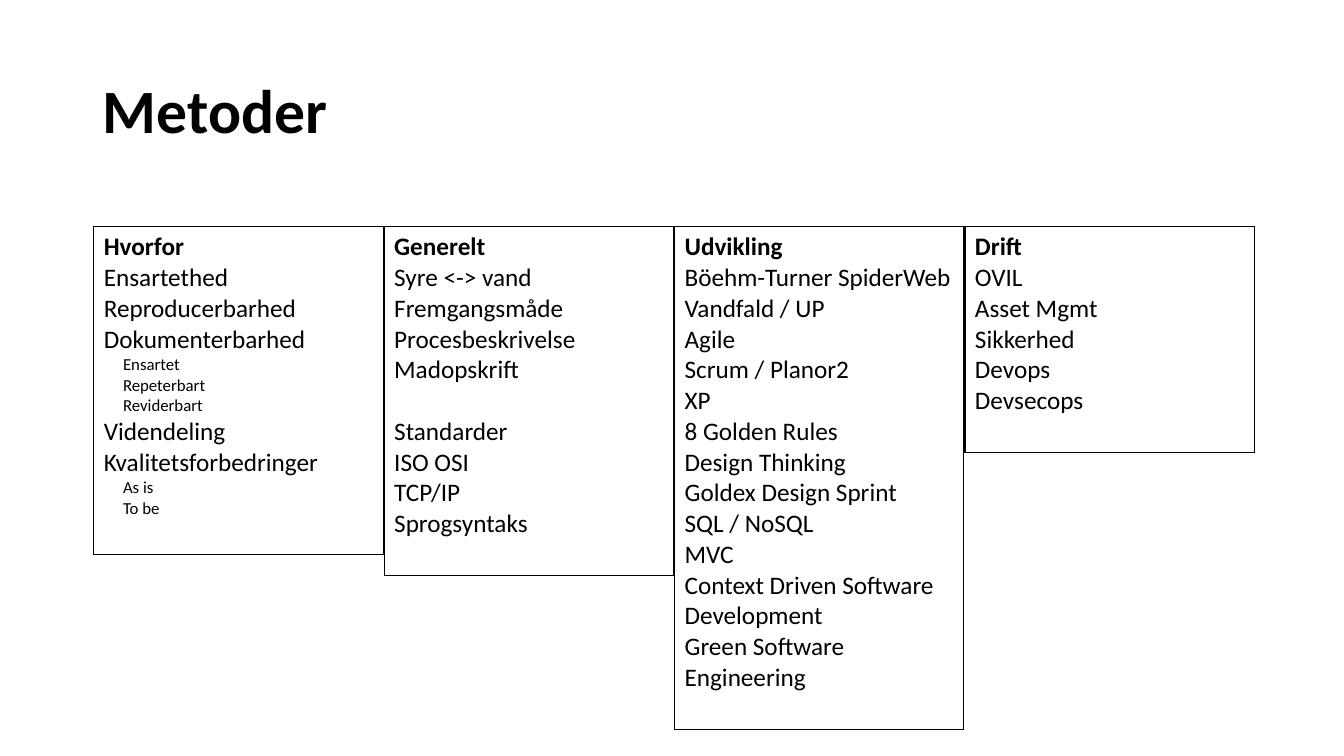
from dataclasses import dataclass

from lxml.etree import SubElement
from pptx import Presentation
from pptx.dml.color import RGBColor
from pptx.enum.text import MSO_ANCHOR as Anchor, MSO_AUTO_SIZE as AutoSize, PP_ALIGN as Align
from pptx.oxml.ns import qn
from pptx.util import Inches, Pt


@dataclass(frozen=True)
class Theme:
    font: str = "Calibri"
    ink: str = "000000"
    paper: str = "FFFFFF"
    title_size: int = 44
    item_size: int = 18
    detail_size: int = 12
    line_width: int = 1


@dataclass(frozen=True)
class Item:
    text: str
    details: tuple = ()
    space_before: int = 0


@dataclass(frozen=True)
class Column:
    heading: str
    height: float
    items: tuple


THEME = Theme()
COLUMN_PITCH = 2.88
COLUMN_WIDTH = 2.87
DETAIL_INDENT = 0.19

COLUMNS = (
    Column("Hvorfor", 3.25, (
        Item("Ensartethed"),
        Item("Reproducerbarhed"),
        Item("Dokumenterbarhed", ("Ensartet", "Repeterbart", "Reviderbart")),
        Item("Videndeling"),
        Item("Kvalitetsforbedringer", ("As is", "To be")),
    )),
    Column("Generelt", 3.46, (
        Item("Syre <-> vand"),
        Item("Fremgangsmåde"),
        Item("Procesbeskrivelse"),
        Item("Madopskrift"),
        Item("Standarder", space_before=22),
        Item("ISO OSI"),
        Item("TCP/IP"),
        Item("Sprogsyntaks"),
    )),
    Column("Udvikling", 4.99, (
        Item("Böehm-Turner SpiderWeb"),
        Item("Vandfald / UP"),
        Item("Agile"),
        Item("Scrum / Planor2"),
        Item("XP"),
        Item("8 Golden Rules"),
        Item("Design Thinking"),
        Item("Goldex Design Sprint"),
        Item("SQL / NoSQL"),
        Item("MVC"),
        Item("Context Driven Software Development"),
        Item("Green Software Engineering"),
    )),
    Column("Drift", 2.24, (
        Item("OVIL"),
        Item("Asset Mgmt"),
        Item("Sikkerhed"),
        Item("Devops"),
        Item("Devsecops"),
    )),
)


def write_line(paragraph, text, size, bold=False):
    paragraph.alignment = Align.LEFT
    run = paragraph.add_run()
    run.text = text
    run.font.name = THEME.font
    run.font.size = Pt(size)
    run.font.bold = bold
    run.font.color.rgb = RGBColor.from_string(THEME.ink)


def set_borders(cell):
    properties = cell._tc.get_or_add_tcPr()
    for position, side in enumerate(("lnL", "lnR", "lnT", "lnB")):
        line = SubElement(properties, qn(f"a:{side}"), w=str(Pt(THEME.line_width)))
        fill = SubElement(line, qn("a:solidFill"))
        SubElement(fill, qn("a:srgbClr"), val=THEME.ink)
        properties.insert(position, line)


def add_title(slide, left, top, width, height):
    title = slide.shapes.title
    title.left, title.top = Inches(left), Inches(top)
    title.width, title.height = Inches(width), Inches(height)
    frame = title.text_frame
    frame.auto_size = AutoSize.NONE
    frame.vertical_anchor = Anchor.MIDDLE
    paragraph = frame.paragraphs[0]
    paragraph.line_spacing = 0.9
    write_line(paragraph, "Metoder", THEME.title_size, bold=True)


def add_method_column(slide, column, left, top, width):
    table = slide.shapes.add_table(
        1, 1, Inches(left), Inches(top), Inches(width), Inches(column.height)
    ).table
    table.first_row = False
    table.horz_banding = False
    cell = table.cell(0, 0)
    cell.fill.solid()
    cell.fill.fore_color.rgb = RGBColor.from_string(THEME.paper)
    set_borders(cell)
    frame = cell.text_frame
    write_line(frame.paragraphs[0], column.heading, THEME.item_size, bold=True)
    for item in column.items:
        paragraph = frame.add_paragraph()
        paragraph.space_before = Pt(item.space_before)
        write_line(paragraph, item.text, THEME.item_size)
        for detail in item.details:
            paragraph = frame.add_paragraph()
            paragraph._p.get_or_add_pPr().set("marL", str(Inches(DETAIL_INDENT)))
            write_line(paragraph, detail, THEME.detail_size)


def add_method_columns(slide, left, top):
    for index, column in enumerate(COLUMNS):
        add_method_column(slide, column, left + index * COLUMN_PITCH, top, COLUMN_WIDTH)


def build_methods_slide(presentation):
    slide = presentation.slides.add_slide(presentation.slide_layouts.get_by_name("Title Only"))
    add_title(slide, 0.92, 0.4, 11.5, 1.45)
    add_method_columns(slide, 0.93, 2.25)


presentation = Presentation()
presentation.slide_width = Inches(13.33)
presentation.slide_height = Inches(7.5)
build_methods_slide(presentation)
presentation.save("out.pptx")
